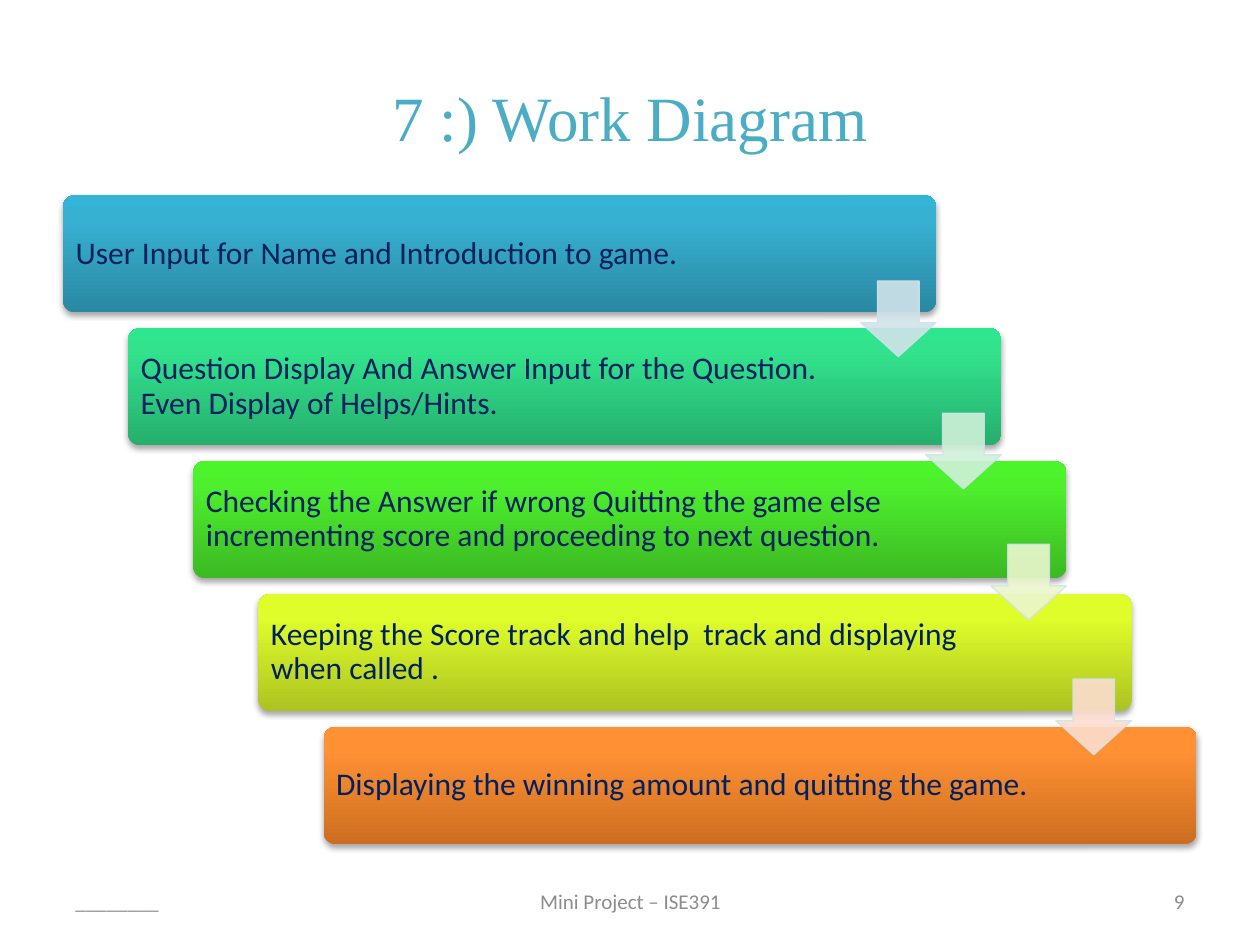
"""Build the work diagram slide: five staggered steps joined by arrows."""
from copy import deepcopy

from lxml.etree import SubElement
from pptx import Presentation
from pptx.dml.color import RGBColor
from pptx.enum.shapes import MSO_SHAPE
from pptx.enum.text import MSO_ANCHOR, PP_ALIGN
from pptx.oxml.ns import qn
from pptx.util import Inches, Pt

COLORS = {"title": "4BACC6", "text": "002060", "footer": "8C8C8C",
          "edge": "D0E3EA", "shadow": "000000"}
STEPS = [
    ("User Input for Name and Introduction to game.", 5.82,
     ("2A88A2", "37B1D2", "34B4D6")),
    ("Question Display And Answer Input for the Question. "
     "Even Display of Helps/Hints.", 5.76, ("26AE6D", "32E28D", "2EE68E")),
    ("Checking the Answer if wrong Quitting the game else "
     "incrementing score and proceeding to next question.", 5.76,
     ("3CB923", "4EF02E", "4CF52A")),
    ("Keeping the Score track and help  track and displaying "
     "when called .", 5.76, ("ACC321", "DFFD2B", "E1FF2B")),
    ("Displaying the winning amount and quitting the game.", 5.76,
     ("CC6E20", "FF9034", "FF9136")),
]
ARROWS = [(2.23, "D0E3EA"), (3.28, "CFF1D9"), (4.32, "EBF7CE"), (5.39, "FCDDCF")]
FOOTERS = [
    ("________", 0.5, 2.33, PP_ALIGN.LEFT),
    ("Mini Project – ISE391", 3.42, 3.17, PP_ALIGN.CENTER),
    ("9", 7.17, 2.33, PP_ALIGN.RIGHT),
]
LEFT, TOP, STEP_X, STEP_Y = 0.5, 1.55, 0.517, 1.055
BAR_W, BAR_H, ARROW = 6.93, 0.93, 0.6


class Diagram:
    """Hold the style and the current slide."""

    def __init__(self, slide, font="Calibri", title_font="Times New Roman"):
        self.slide = slide
        self.font = font
        self.title_font = title_font

    def run(self, p, text, size, color, font=None):
        r = p.add_run()
        r.text = text
        r.font.size = Pt(size)
        r.font.name = font or self.font
        r.font.color.rgb = RGBColor.from_string(color)

    def title(self, text, x, y, w, h):
        sp = self.slide.shapes.title
        sp.left, sp.top, sp.width, sp.height = map(Inches, (x, y, w, h))
        sp.text_frame.vertical_anchor = MSO_ANCHOR.MIDDLE
        p = sp.text_frame.paragraphs[0]
        p.alignment = PP_ALIGN.CENTER
        pPr = p._p.get_or_add_pPr()
        pPr.set("marL", str(Inches(0.38)))
        pPr.set("indent", str(Inches(-0.38)))
        self.run(p, text, 36, COLORS["title"], self.title_font)

    def text(self, text, x, y, w, h, size, color, align=PP_ALIGN.LEFT,
             inset=None, spacing=None):
        tf = self.slide.shapes.add_textbox(*map(Inches, (x, y, w, h))).text_frame
        tf.word_wrap = True
        tf.vertical_anchor = MSO_ANCHOR.MIDDLE
        if inset is not None:
            tf.margin_left = tf.margin_right = Inches(inset)
            tf.margin_top = tf.margin_bottom = Inches(inset)
        p = tf.paragraphs[0]
        p.alignment = align
        if spacing:
            p.line_spacing = spacing
        self.run(p, text, size, color)

    def shape(self, kind, x, y, w, h, adjustments):
        sp = self.slide.shapes.add_shape(kind, *map(Inches, (x, y, w, h)))
        sp.shadow.inherit = False
        for i, value in enumerate(adjustments):
            sp.adjustments[i] = value
        return sp

    def bar(self, x, y, colors):
        sp = self.shape(MSO_SHAPE.ROUNDED_RECTANGLE, x, y, BAR_W, BAR_H, [0.1])
        sp.line.fill.background()
        sp.fill.gradient()
        sp.fill.gradient_angle = 90
        stops = sp._element.spPr.find(".//" + qn("a:gsLst"))
        stops.append(deepcopy(stops[-1]))
        for stop, pos, color in zip(sp.fill.gradient_stops, (0, 0.8, 1), colors):
            stop.position = pos
            stop.color.rgb = RGBColor.from_string(color)
        effects = sp._element.spPr.find(qn("a:effectLst"))
        shadow = SubElement(effects, qn("a:outerShdw"), blurRad=str(Pt(3.1)),
                            dist=str(Pt(1.8)), dir="5400000", rotWithShape="0")
        clr = SubElement(shadow, qn("a:srgbClr"), val=COLORS["shadow"])
        SubElement(clr, qn("a:alpha"), val="35000")

    def arrow(self, x, y, color):
        sp = self.shape(MSO_SHAPE.DOWN_ARROW, x, y, ARROW, ARROW, [0.55, 0.45])
        sp.fill.solid()
        sp.fill.fore_color.rgb = RGBColor.from_string(color)
        sp.line.color.rgb = RGBColor.from_string(COLORS["edge"])
        sp.line.width = Pt(0.75)
        for clr in sp._element.spPr.iter(qn("a:srgbClr")):
            SubElement(clr, qn("a:alpha"), val="90000")


def main():
    prs = Presentation()
    prs.slide_width, prs.slide_height = Inches(10), Inches(7.5)
    d = Diagram(prs.slides.add_slide(prs.slide_layouts[5]))
    d.title("7 :) Work Diagram", 0.5, 0.3, 9, 1.25)
    for i, (text, width, colors) in enumerate(STEPS):
        x, y = LEFT + i * STEP_X, TOP + i * STEP_Y
        d.bar(x, y, colors)
        d.text(text, x + 0.03, y + 0.03, width, 0.87, 18, COLORS["text"],
               inset=0.07, spacing=0.9)
    for i, (y, color) in enumerate(ARROWS):
        d.arrow(LEFT + i * STEP_X + BAR_W - ARROW, y, color)
    for text, x, width, align in FOOTERS:
        d.text(text, x, 6.95, width, 0.4, 12, COLORS["footer"], align)
    prs.save("out.pptx")


if __name__ == "__main__":
    main()
